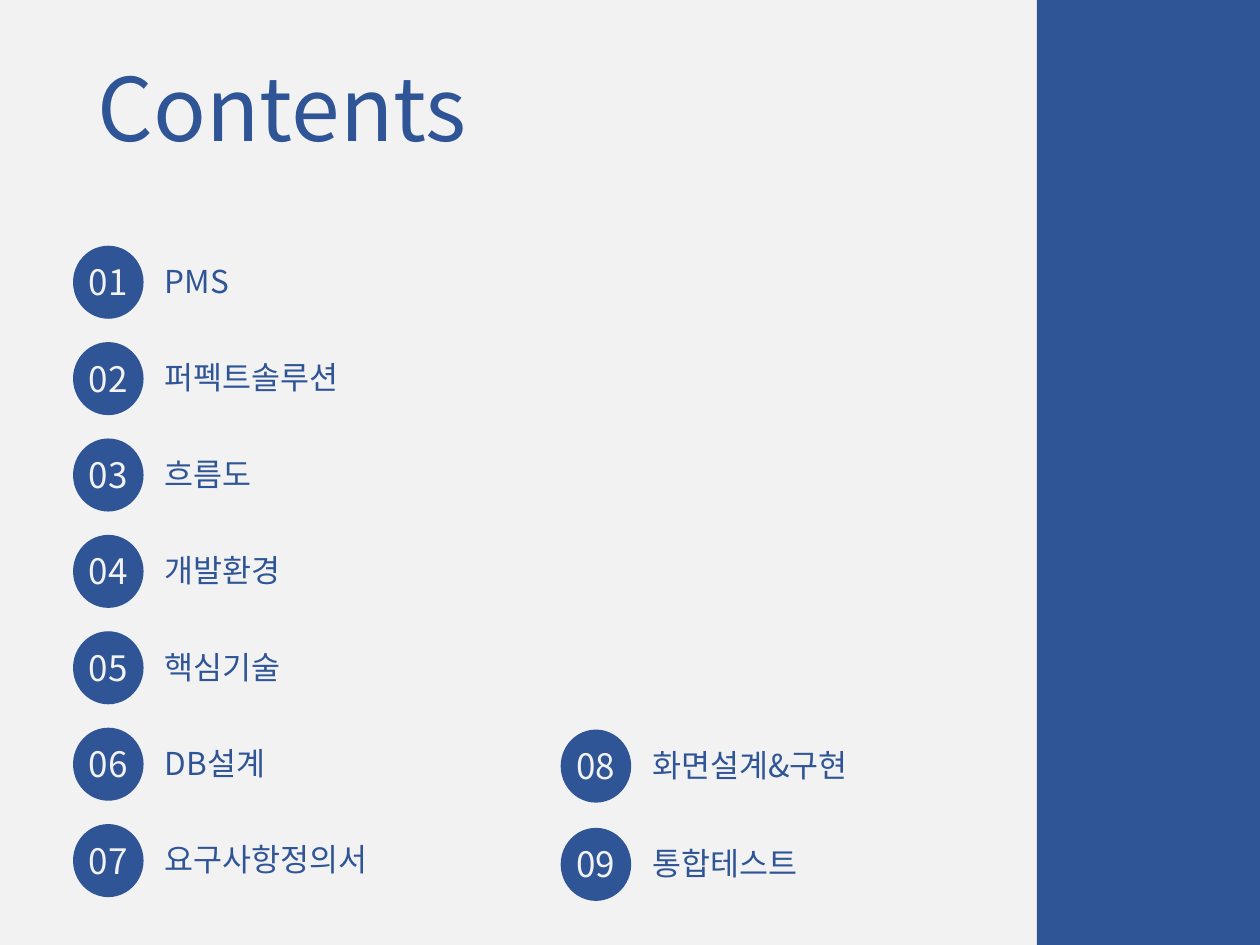
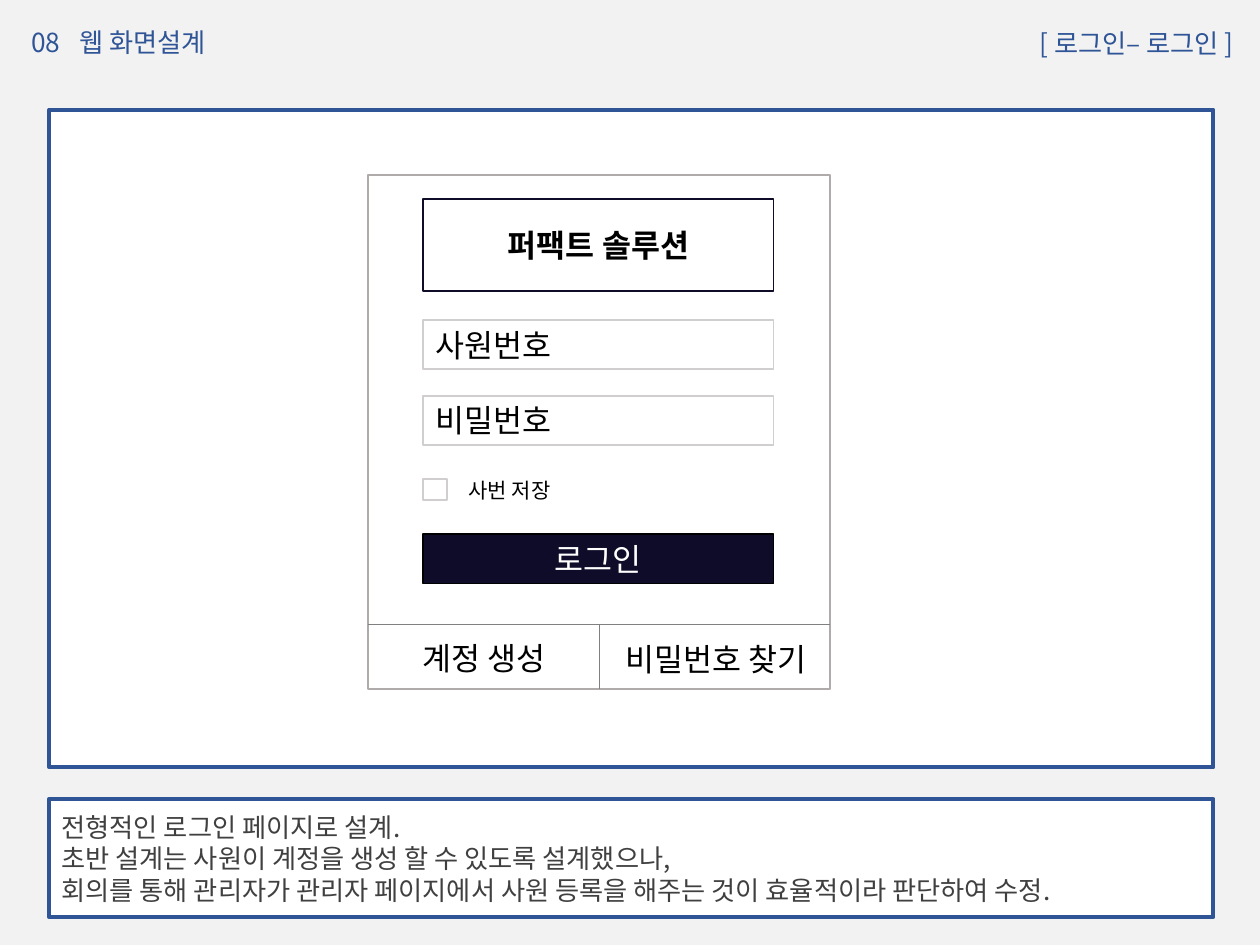
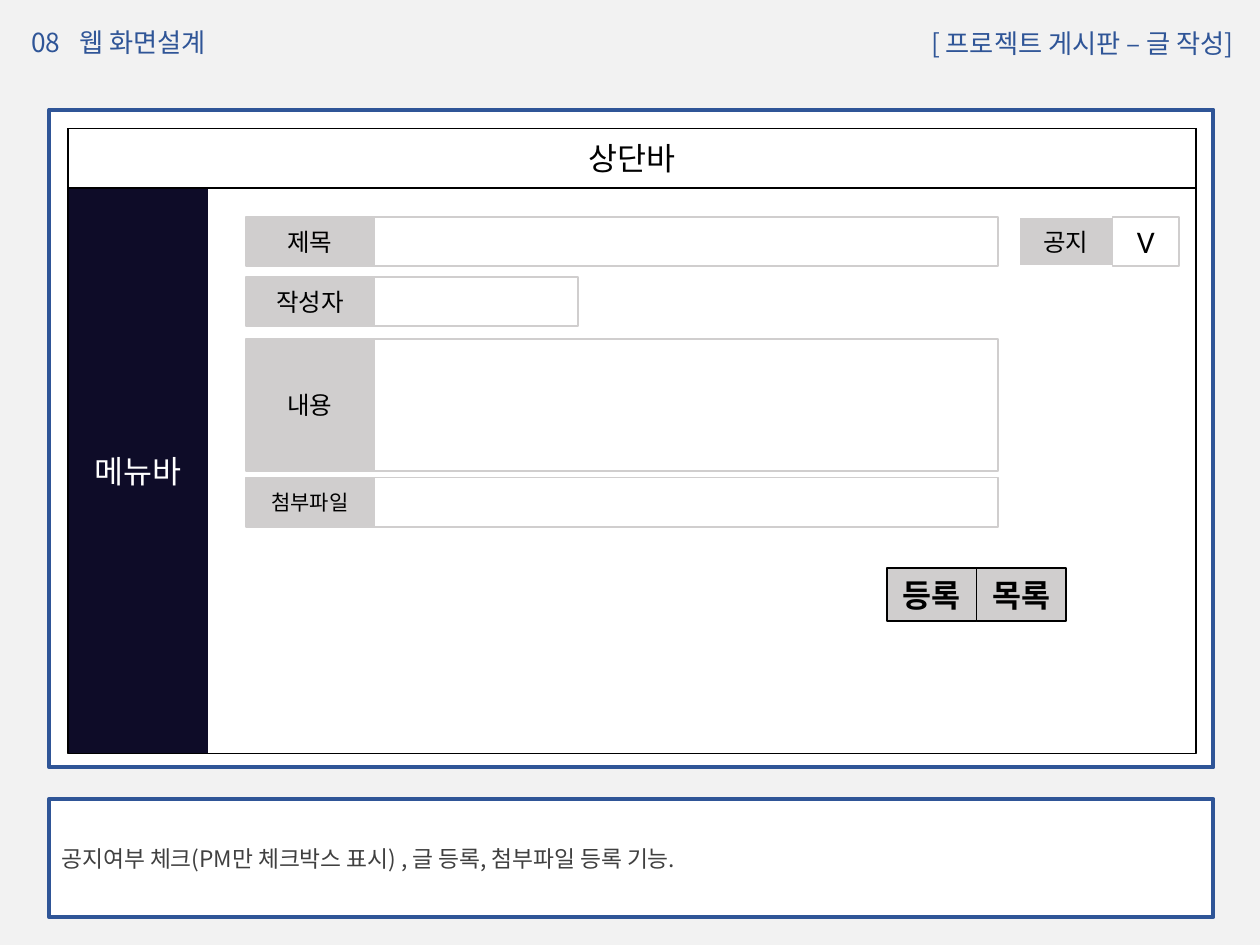
from dataclasses import dataclass

import pptx
import pptx.dml.color
import pptx.enum.shapes
import pptx.enum.text
import pptx.oxml
import pptx.oxml.ns
import pptx.presentation
import pptx.shapes.autoshape
import pptx.shapes.connector
import pptx.slide
import pptx.text.text
import pptx.util

Inches = pptx.util.Inches
Pt = pptx.util.Pt
ALIGN = pptx.enum.text.PP_ALIGN
ANCHOR = pptx.enum.text.MSO_ANCHOR
SHAPE = pptx.enum.shapes.MSO_SHAPE

COLORS = {
    "background": "F2F2F2",
    "blue": "2F5597",
    "white": "FFFFFF",
    "black": "000000",
    "body": "404040",
    "navy": "0E0C28",
    "border": "D0CECE",
    "card": "AFABAB",
    "divider": "808080",
}
KOREAN_FONT = "Noto Sans CJK KR"
WIREFRAME_FONT = "Calibri"
FRAME_LEFT, FRAME_WIDTH = 0.39, 9.24


@dataclass(frozen=True)
class Area:
    left: float
    top: float
    width: float
    height: float

    def lengths(self) -> list[int]:
        return [Inches(value) for value in (self.left, self.top, self.width, self.height)]


@dataclass(frozen=True)
class TextStyle:
    size: float
    color: str = "black"
    align: ALIGN = ALIGN.CENTER
    font: str = WIREFRAME_FONT
    bold: bool = False


@dataclass(frozen=True)
class Box:
    area: Area
    fill: str | None = "white"
    line: str | None = None
    text: str = ""
    style: TextStyle = TextStyle(18)
    line_width: float = 1
    shape: SHAPE = SHAPE.RECTANGLE


@dataclass(frozen=True)
class ContentsColumn:
    left: float
    top: float
    step: float
    first_number: int
    titles: tuple[str, ...]


@dataclass(frozen=True)
class FormRow:
    label: str
    top: float
    height: float = 0.39
    field_width: float = 4.95
    size: float = 14


CONTENTS_TITLE = TextStyle(50, "blue", font=KOREAN_FONT)
NUMBER = TextStyle(20, "background", font=KOREAN_FONT)
ENTRY = TextStyle(18, "blue", ALIGN.LEFT, KOREAN_FONT)
SECTION = TextStyle(15, "blue", ALIGN.LEFT, KOREAN_FONT)
SCREEN_NAME = TextStyle(15, "blue", ALIGN.RIGHT, KOREAN_FONT)
INPUT = TextStyle(18, align=ALIGN.LEFT)
LABEL = TextStyle(18)
STRONG = TextStyle(18, bold=True)
INVERSE = TextStyle(18, "white")

CONTENTS = (
    ContentsColumn(0.58, 1.95, 0.765, 1, (
        "PMS", "퍼펙트솔루션", "흐름도", "개발환경", "핵심기술", "DB설계", "요구사항정의서")),
    ContentsColumn(4.45, 5.79, 0.78, 8, ("화면설계&구현", "통합테스트")),
)
FORM_ROWS = (
    FormRow("작성자", 2.2, field_width=1.62),
    FormRow("제목", 1.72),
    FormRow("내용", 2.69, height=1.05),
    FormRow("첨부파일", 3.79, size=12),
)


def rgb(name: str) -> pptx.dml.color.RGBColor:
    return pptx.dml.color.RGBColor.from_string(COLORS[name])


def set_attributes(target: object, values: dict[str, object]) -> None:
    for name, value in values.items():
        setattr(target, name, value)


def write_text(frame: pptx.text.text.TextFrame, text: str, style: TextStyle) -> None:
    """Fill a text frame, one paragraph a line, with Latin and Korean fonts set."""
    for index, line in enumerate(text.split("\n")):
        paragraph = frame.paragraphs[0] if index == 0 else frame.add_paragraph()
        paragraph.alignment = style.align
        run = paragraph.add_run()
        run.text = line
        set_attributes(run.font, {
            "name": style.font, "size": Pt(style.size), "bold": style.bold})
        run.font.color.rgb = rgb(style.color)
        east_asian = pptx.oxml.parse_xml(
            f'<a:ea {pptx.oxml.ns.nsdecls("a")} typeface="{KOREAN_FONT}"/>')
        run.font._element.append(east_asian)


def add_box(slide: pptx.slide.Slide, box: Box) -> pptx.shapes.autoshape.Shape:
    shape = slide.shapes.add_shape(box.shape, *box.area.lengths())
    shape.shadow.inherit = False
    if box.fill:
        shape.fill.solid()
        shape.fill.fore_color.rgb = rgb(box.fill)
    else:
        shape.fill.background()
    if box.line:
        shape.line.color.rgb = rgb(box.line)
        shape.line.width = Pt(box.line_width)
    else:
        shape.line.fill.background()
    if box.text:
        set_attributes(shape.text_frame, {
            "word_wrap": True, "vertical_anchor": ANCHOR.MIDDLE})
        write_text(shape.text_frame, box.text, box.style)
    return shape


def add_text(slide: pptx.slide.Slide, area: Area, text: str,
             style: TextStyle) -> pptx.text.text.TextFrame:
    frame = slide.shapes.add_textbox(*area.lengths()).text_frame
    set_attributes(frame, {
        "word_wrap": True, "auto_size": pptx.enum.text.MSO_AUTO_SIZE.SHAPE_TO_FIT_TEXT})
    write_text(frame, text, style)
    return frame


def add_divider(slide: pptx.slide.Slide, start: tuple[float, float],
                end: tuple[float, float]) -> pptx.shapes.connector.Connector:
    connector = slide.shapes.add_connector(
        pptx.enum.shapes.MSO_CONNECTOR.STRAIGHT,
        *(Inches(value) for value in (*start, *end)))
    connector.line.color.rgb = rgb("divider")
    connector.line.width = Pt(0.5)
    connector._element.spPr.append(
        pptx.oxml.parse_xml(f'<a:effectLst {pptx.oxml.ns.nsdecls("a")}/>'))
    return connector


def add_tab_stop(paragraph: pptx.text.text._Paragraph, position: float) -> None:
    paragraph._p.get_or_add_pPr().append(pptx.oxml.parse_xml(
        f'<a:tabLst {pptx.oxml.ns.nsdecls("a")}>'
        f'<a:tab pos="{Inches(position)}" algn="l"/></a:tabLst>'))


def add_slide(presentation: pptx.presentation.Presentation) -> pptx.slide.Slide:
    """Add a blank slide covered by the grey background."""
    slide = presentation.slides.add_slide(presentation.slide_layouts[6])
    add_box(slide, Box(Area(0, 0, 10, 7.5), "background"))
    return slide


def add_screen_slide(presentation: pptx.presentation.Presentation, screen_name: str,
                     description: str, description_size: float) -> pptx.slide.Slide:
    """Add a slide with the header, the screen frame and the description box."""
    slide = add_slide(presentation)
    style = TextStyle(description_size, "body", ALIGN.LEFT, KOREAN_FONT)
    add_box(slide, Box(Area(FRAME_LEFT, 0.87, FRAME_WIDTH, 5.22),
                       line="blue", line_width=2.25))
    add_box(slide, Box(Area(FRAME_LEFT, 6.34, FRAME_WIDTH, 0.94), "white", "blue",
                       description, style, 2.25))
    section = add_text(slide, Area(0.15, 0.16, 2.94, 0.35), "08\t웹 화면설계", SECTION)
    add_tab_stop(section.paragraphs[0], 0.38)
    add_text(slide, Area(5.89, 0.17, 4, 0.35), screen_name, SCREEN_NAME)
    return slide


def build_contents(presentation: pptx.presentation.Presentation) -> None:
    slide = add_slide(presentation)
    add_box(slide, Box(Area(8.23, 0, 1.77, 7.5), "blue"))
    add_text(slide, Area(0.46, 0.38, 3.56, 0.94), "Contents", CONTENTS_TITLE)
    for column in CONTENTS:
        for index, title in enumerate(column.titles):
            left, top = column.left, column.top + index * column.step
            add_box(slide, Box(Area(left, top, 0.56, 0.58), "blue", shape=SHAPE.OVAL))
            add_text(slide, Area(left - 0.03, top + 0.07, 0.62, 0.44),
                     f"{column.first_number + index:02}", NUMBER)
            add_text(slide, Area(left + 0.63, top + 0.08, 2.1, 0.4), title, ENTRY)


def build_login(presentation: pptx.presentation.Presentation) -> None:
    slide = add_screen_slide(
        presentation, "[ 로그인– 로그인 ]",
        "전형적인 로그인 페이지로 설계.\n"
        "초반 설계는 사원이 계정을 생성 할 수 있도록 설계했으나,\n"
        "회의를 통해 관리자가 관리자 페이지에서 사원 등록을 해주는 것이 효율적이라 판단하여 수정.",
        15)
    card_area = Area(2.92, 1.39, 3.67, 4.08)
    card = add_box(slide, Box(card_area, line="card"))
    left, width = 3.36, 2.78
    for box in (
        Box(Area(left, 4.24, width, 0.39), "navy", "black", "로그인", INVERSE),
        Box(Area(left, 3.14, width, 0.39), "white", "border", "비밀번호", INPUT),
        Box(Area(left, 2.54, width, 0.39), "white", "border", "사원번호", INPUT),
        Box(Area(left, 3.8, 0.19, 0.17), "white", "border"),
        Box(Area(left, 1.58, width, 0.73), "white", "navy", "퍼팩트 솔루션", STRONG),
    ):
        add_box(slide, box)
    add_text(slide, Area(3.62, 3.74, 1.9, 0.3), "사번 저장",
             TextStyle(12, align=ALIGN.LEFT))

    divider_top = 4.96
    card_right = card_area.left + card_area.width
    card_center = card_area.left + card_area.width / 2
    add_divider(slide, (card_area.left, divider_top), (card_right, divider_top))
    split = add_divider(slide, (card_center, card_area.top + card_area.height),
                        (card_center, divider_top))
    split.begin_connect(card, 2)
    add_text(slide, Area(3.11, 5.02, 1.46, 0.4), "계정 생성", LABEL)
    add_text(slide, Area(4.73, 5.03, 1.91, 0.4), "비밀번호 찾기", LABEL)


def build_post_form(presentation: pptx.presentation.Presentation) -> None:
    slide = add_screen_slide(
        presentation, "[ 프로젝트 게시판 – 글 작성]",
        "공지여부 체크(PM만 체크박스 표시) , 글 등록, 첨부파일 등록 기능.", 13)
    left, top, width, height, bar_height = 0.54, 1.02, 8.95, 4.96, 0.47
    for box in (
        Box(Area(left, top + bar_height, 1.11, height - bar_height), "navy",
            text="메뉴바", style=INVERSE),
        Box(Area(left, top, width, bar_height), "white", "black", "상단바", LABEL),
        Box(Area(left, top, width, height), None, "black"),
    ):
        add_box(slide, box)

    label_left, label_width = 1.95, 1.02
    for row in FORM_ROWS:
        add_box(slide, Box(Area(label_left, row.top, label_width, row.height),
                           "border", "border", row.label, TextStyle(row.size)))
        add_box(slide, Box(Area(label_left + label_width, row.top,
                                row.field_width, row.height), line="border"))

    button_left, button_width = 7.04, 0.71
    for index, label in enumerate(("등록", "목록")):
        add_box(slide, Box(Area(button_left + index * button_width, 4.51,
                                button_width, 0.42), "border", "black", label, STRONG))
    add_box(slide, Box(Area(8.09, 1.72, 0.74, 0.39), "border", "white",
                       "공지", TextStyle(14)))
    add_box(slide, Box(Area(8.83, 1.72, 0.53, 0.39), "white", "border", "V", LABEL))


def main() -> None:
    presentation = pptx.Presentation()
    set_attributes(presentation, {"slide_width": Inches(10), "slide_height": Inches(7.5)})
    build_contents(presentation)
    build_login(presentation)
    build_post_form(presentation)
    presentation.save("out.pptx")


if __name__ == "__main__":
    main()
